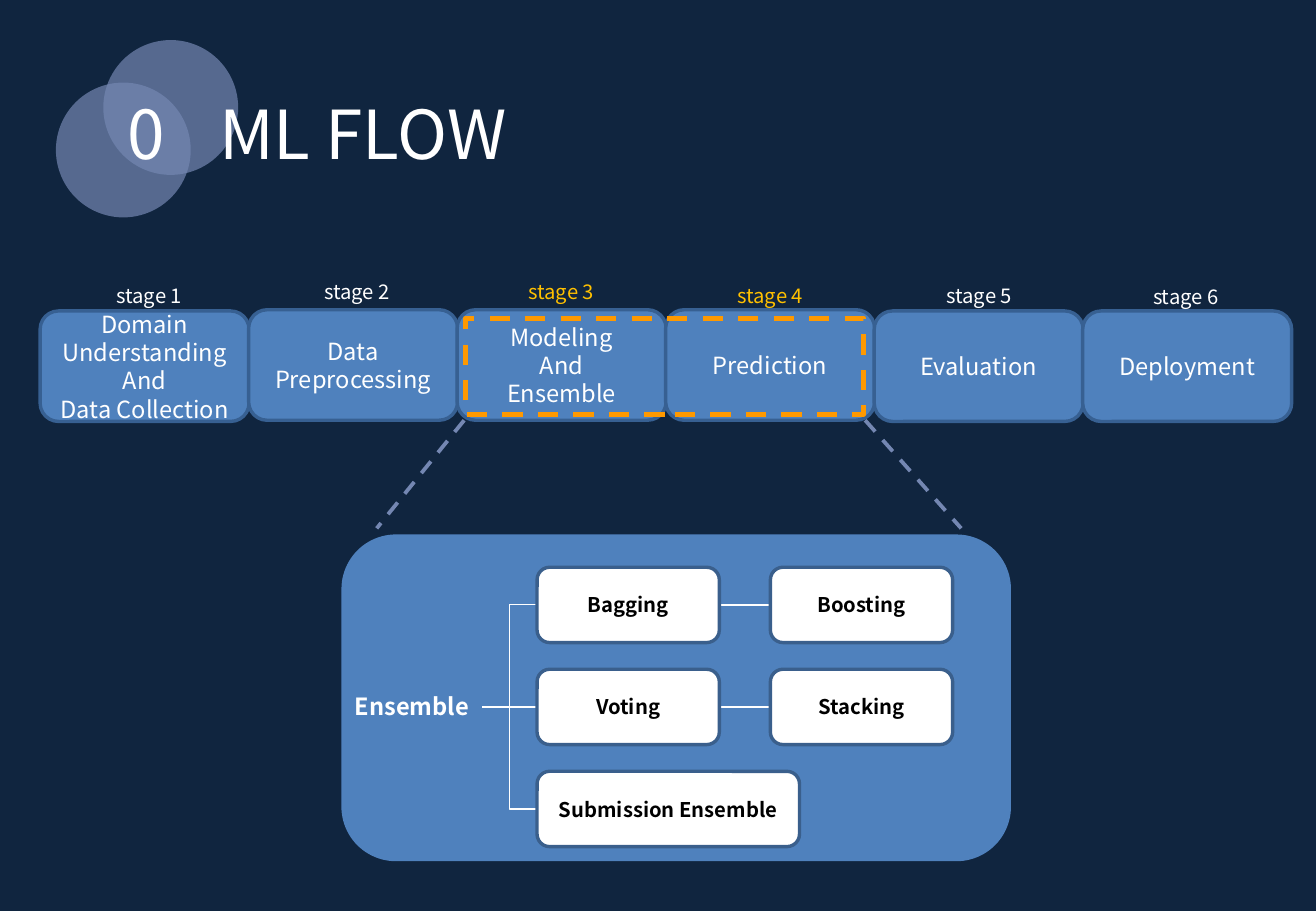
from dataclasses import dataclass

import pptx
import pptx.util
import pptx.dml.color
import pptx.enum.dml
import pptx.enum.shapes
import pptx.enum.text
import pptx.oxml
import pptx.oxml.ns

Inches = pptx.util.Inches
Pt = pptx.util.Pt
SHAPE = pptx.enum.shapes.MSO_SHAPE
CONNECTOR = pptx.enum.shapes.MSO_CONNECTOR
ALIGN = pptx.enum.text.PP_ALIGN


@dataclass(frozen=True)
class Theme:
    font: str = "Noto Sans CJK KR"
    background: str = "10253F"
    lavender: str = "7487B2"
    blue: str = "4F81BD"
    stage_edge: str = "376092"
    method_edge: str = "3A5F8C"
    white: str = "FFFFFF"
    black: str = "000000"
    gold: str = "FFC000"
    orange: str = "FF9900"
    title: int = 40
    body: int = 14
    label: int = 12


class Deck:
    def __init__(self, prs, theme):
        self.theme = theme
        self.slide = prs.slides.add_slide(prs.slide_layouts[6])
        self.paint(self.slide.background.fill, theme.background)

    def paint(self, fill, color):
        fill.solid()
        fill.fore_color.rgb = pptx.dml.color.RGBColor.from_string(color)

    def stroke(self, line, color, width, dashed=False):
        self.paint(line.fill, color)
        line.width = Pt(width)
        if dashed:
            line.dash_style = pptx.enum.dml.MSO_LINE.DASH

    def set_text(self, s, text, size, color, bold=False, align=ALIGN.CENTER):
        tf = s.text_frame
        tf.word_wrap = True
        tf.text = text
        for p in tf.paragraphs:
            p.alignment = align
            p.font.name = self.theme.font
            p.font.size = Pt(size)
            p.font.bold = bold
            p.font.color.rgb = pptx.dml.color.RGBColor.from_string(color)

    def text(self, box, text, size, color, **style):
        s = self.slide.shapes.add_textbox(*map(Inches, box))
        self.set_text(s, text, size, color, **style)
        s.text_frame.auto_size = pptx.enum.text.MSO_AUTO_SIZE.SHAPE_TO_FIT_TEXT

    def shape(self, kind, box, fill=None, edge=None, width=2, dashed=False):
        s = self.slide.shapes.add_shape(kind, *map(Inches, box))
        s.shadow.inherit = False
        if fill:
            self.paint(s.fill, fill)
        else:
            s.fill.background()
        if edge:
            self.stroke(s.line, edge, width, dashed)
        else:
            s.line.fill.background()
        return s

    def circle(self, left, top, size, opacity):
        s = self.shape(SHAPE.FLOWCHART_CONNECTOR, (left, top, size, size), self.theme.lavender)
        color = s._element.spPr.find(".//" + pptx.oxml.ns.qn("a:srgbClr"))
        alpha = pptx.oxml.parse_xml(
            f'<a:alpha {pptx.oxml.ns.nsdecls("a")} val="{opacity * 1000}"/>')
        color.append(alpha)

    def stage(self, box, text):
        t = self.theme
        s = self.shape(SHAPE.ROUNDED_RECTANGLE, box, t.blue, t.stage_edge)
        self.set_text(s, text, t.body, t.white)

    def method(self, box, text):
        t = self.theme
        s = self.shape(SHAPE.ROUNDED_RECTANGLE, box, t.white, t.method_edge)
        self.set_text(s, text, t.label, t.black, bold=True)

    def line(self, start, end, color, width, dashed=False, kind=CONNECTOR.STRAIGHT):
        s = self.slide.shapes.add_connector(kind, *map(Inches, start + end))
        self.stroke(s.line, color, width, dashed)
        s._element.spPr.append(
            pptx.oxml.parse_xml(f'<a:effectLst {pptx.oxml.ns.nsdecls("a")}/>'))


def main():
    prs = pptx.Presentation()
    prs.slide_width, prs.slide_height = Inches(10.83), Inches(7.5)
    t = Theme()
    deck = Deck(prs, t)

    deck.circle(0.85, 0.33, 1.11, opacity=70)
    deck.circle(0.46, 0.68, 1.11, opacity=70)
    deck.text((0.65, 0.71, 1.11, 0.77), "0", t.title, t.white)
    deck.text((1.36, 0.71, 3.25, 0.77), "ML FLOW", t.title, t.white)

    stages = [
        ("Domain Understanding\nAnd\nData Collection", 2.56, 0.86, 2.28, t.white),
        ("Data Preprocessing", 2.55, 2.57, 2.25, t.white),
        ("Modeling\nAnd\nEnsemble", 2.55, 4.25, 2.25, t.gold),
        ("Prediction", 2.55, 5.97, 2.28, t.gold),
        ("Evaluation", 2.56, 7.69, 2.28, t.white),
        ("Deployment", 2.56, 9.39, 2.29, t.white),
    ]
    pitch = (8.91 - 0.33) / (len(stages) - 1)
    for i, (name, top, label_left, label_top, color) in enumerate(stages):
        deck.stage((0.33 + i * pitch, top, 1.72, 0.91), name)
        deck.text((label_left, label_top, 0.85, 0.3), f"stage {i + 1}",
                  t.label, color, align=ALIGN.LEFT)

    deck.shape(SHAPE.RECTANGLE, (3.83, 2.62, 3.28, 0.79), edge=t.orange, width=3, dashed=True)
    deck.line((3.82, 3.46), (3.1, 4.35), t.lavender, 2.25, dashed=True)
    deck.line((7.12, 3.46), (7.91, 4.35), t.lavender, 2.25, dashed=True)

    deck.shape(SHAPE.ROUNDED_RECTANGLE, (2.81, 4.4, 5.51, 2.69), t.blue)
    deck.text((2.81, 5.65, 1.16, 0.34), "Ensemble", t.body, t.white, bold=True)

    columns, width, height = (4.42, 6.34), 1.5, 0.62
    root = (3.97, 5.82)
    rows = [("Bagging", "Boosting"), ("Voting", "Stacking"), ("Submission Ensemble",)]
    for i, names in enumerate(rows):
        middle = root[1] + (i - 1) * 0.84
        kind = CONNECTOR.STRAIGHT if i == 1 else CONNECTOR.ELBOW
        deck.line(root, (columns[0], middle), t.white, 0.75, kind=kind)
        if len(names) == 2:
            deck.line((columns[0] + width, middle), (columns[1], middle), t.white, 0.75)
        for left, name in zip(columns, names):
            box_width = width if len(names) == 2 else 2.16
            deck.method((left, middle - height / 2, box_width, height), name)

    prs.save("out.pptx")


if __name__ == "__main__":
    main()
